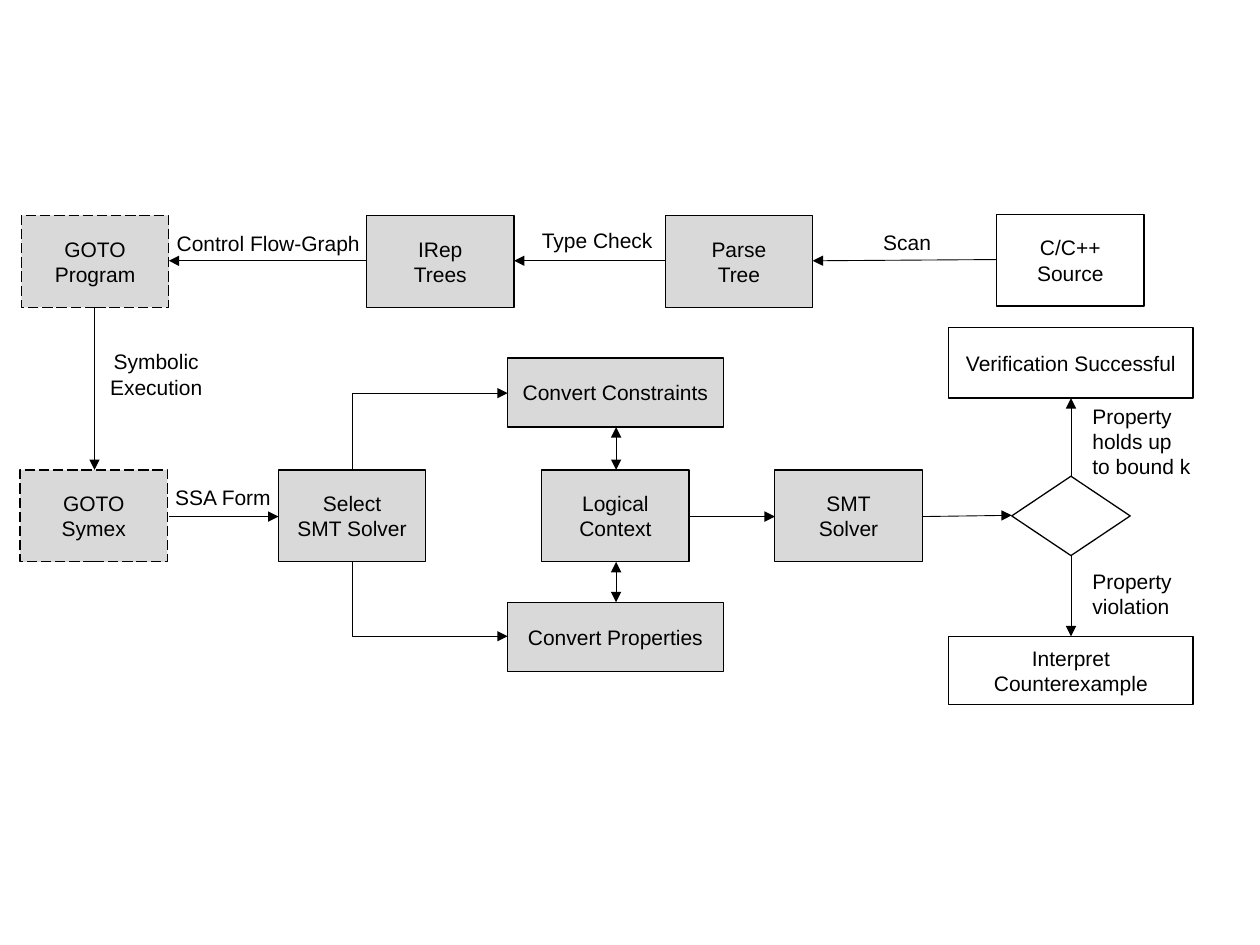
from lxml import etree
from pptx import Presentation
from pptx.dml.color import RGBColor
from pptx.enum.dml import MSO_LINE
from pptx.enum.shapes import MSO_CONNECTOR as CONNECTOR, MSO_SHAPE as SHAPE
from pptx.enum.text import MSO_ANCHOR as ANCHOR, PP_ALIGN as ALIGN
from pptx.oxml.ns import qn
from pptx.util import Inches, Pt

COLORS = {"ink": "000000", "tool": "D9D9D9", "plain": "FFFFFF"}

presentation = Presentation()
presentation.slide_width = Inches(10)
presentation.slide_height = Inches(7.5)
slide = presentation.slides.add_slide(presentation.slide_layouts[6])


def write_text(shape, text, align=ALIGN.CENTER, anchor=ANCHOR.MIDDLE, size=12):
    frame = shape.text_frame
    frame.word_wrap = True
    frame.vertical_anchor = anchor
    frame.margin_left = frame.margin_right = Inches(0.09)
    frame.text = text
    for paragraph in frame.paragraphs:
        paragraph.alignment = align
        paragraph.font.size = Pt(size)
        paragraph.font.name = "Arial"
        paragraph.font.color.rgb = RGBColor.from_string(COLORS["ink"])


def add_arrow(kind, start, end, heads):
    arrow = slide.shapes.add_connector(kind, *map(Inches, start + end))
    arrow.line.width = Pt(0.5)
    arrow.line.color.rgb = RGBColor.from_string(COLORS["ink"])
    properties = arrow._element.spPr
    for head in heads:
        etree.SubElement(arrow.line._ln, qn(f"a:{head}"), type="triangle")
    etree.SubElement(properties, qn("a:effectLst"))
    return properties


STEP = (1.17, 0.73)
CONVERT = (1.71, 0.55)
boxes = [
    ("Interpret Counterexample", 7.53, 5.05, (1.94, 0.54), "plain", False),
    ("Verification Successful", 7.53, 2.6, (1.94, 0.56), "plain", False),
    ("SMT\nSolver", 6.15, 3.73, STEP, "tool", False),
    ("Convert Properties", 4.03, 4.78, CONVERT, "tool", False),
    ("Convert Constraints", 4.03, 2.84, CONVERT, "tool", False),
    ("Logical\nContext", 4.3, 3.73, STEP, "tool", False),
    ("Select\nSMT Solver", 2.21, 3.73, STEP, "tool", False),
    ("GOTO\nSymex", 0.16, 3.73, STEP, "tool", True),
    ("GOTO\nProgram", 0.17, 1.71, STEP, "tool", True),
    ("IRep\nTrees", 2.91, 1.71, STEP, "tool", False),
    ("Parse\nTree", 5.28, 1.71, STEP, "tool", False),
    ("C/C++\nSource", 7.91, 1.7, STEP, "plain", False),
    ("", 8.03, 3.78, (0.94, 0.63), "plain", False),
]
for text, left, top, size, fill, dashed in boxes:
    preset = SHAPE.RECTANGLE if text else SHAPE.FLOWCHART_DECISION
    box = slide.shapes.add_shape(preset, *map(Inches, (left, top) + size))
    box.shadow.inherit = False
    box.fill.solid()
    box.fill.fore_color.rgb = RGBColor.from_string(COLORS[fill])
    box.line.color.rgb = RGBColor.from_string(COLORS["ink"])
    box.line.width = Pt(0.75)
    if dashed:
        box.line.dash_style = MSO_LINE.LONG_DASH
    if text:
        write_text(box, text)

labels = [
    ("Property holds up to bound k", 8.58, 3.15, 0.98, 0.71, ALIGN.LEFT),
    ("Property violation", 8.58, 4.46, 0.98, 0.5, ALIGN.LEFT),
    ("Scan", 6.71, 1.77, 0.98, 0.3, ALIGN.CENTER),
    ("Type Check", 4.19, 1.76, 1.1, 0.3, ALIGN.CENTER),
    ("Control Flow-Graph", 1.21, 1.78, 1.84, 0.3, ALIGN.CENTER),
    ("Symbolic Execution", 0.75, 2.72, 0.98, 0.5, ALIGN.CENTER),
    ("SSA Form", 1.28, 3.8, 0.98, 0.3, ALIGN.CENTER),
]
for text, left, top, width, height, align in labels:
    label = slide.shapes.add_textbox(*map(Inches, (left, top, width, height)))
    write_text(label, text, align=align, anchor=ANCHOR.TOP)

one_way_arrows = [
    ((7.91, 2.06), (6.45, 2.07)),
    ((5.28, 2.07), (4.08, 2.07)),
    ((2.91, 2.07), (1.34, 2.07)),
    ((0.75, 2.44), (0.75, 3.73)),
    ((1.34, 4.1), (2.21, 4.1)),
    ((5.47, 4.1), (6.15, 4.1)),
    ((7.32, 4.1), (8.03, 4.09)),
    ((8.5, 3.78), (8.5, 3.16)),
    ((8.5, 4.41), (8.5, 5.05)),
]
for start, end in one_way_arrows:
    add_arrow(CONNECTOR.STRAIGHT, start, end, ["tailEnd"])

for start_y, end_y in [(3.73, 3.39), (4.46, 4.78)]:
    add_arrow(CONNECTOR.STRAIGHT, (4.89, start_y), (4.89, end_y), ["headEnd", "tailEnd"])

for convert_y, select_y in [(3.12, 3.73), (5.05, 4.46)]:
    elbow = add_arrow(CONNECTOR.ELBOW, (4.03, convert_y), (2.8, select_y), ["headEnd"])
    elbow.find(qn("a:prstGeom")).set("prst", "bentConnector2")

presentation.save("out.pptx")
